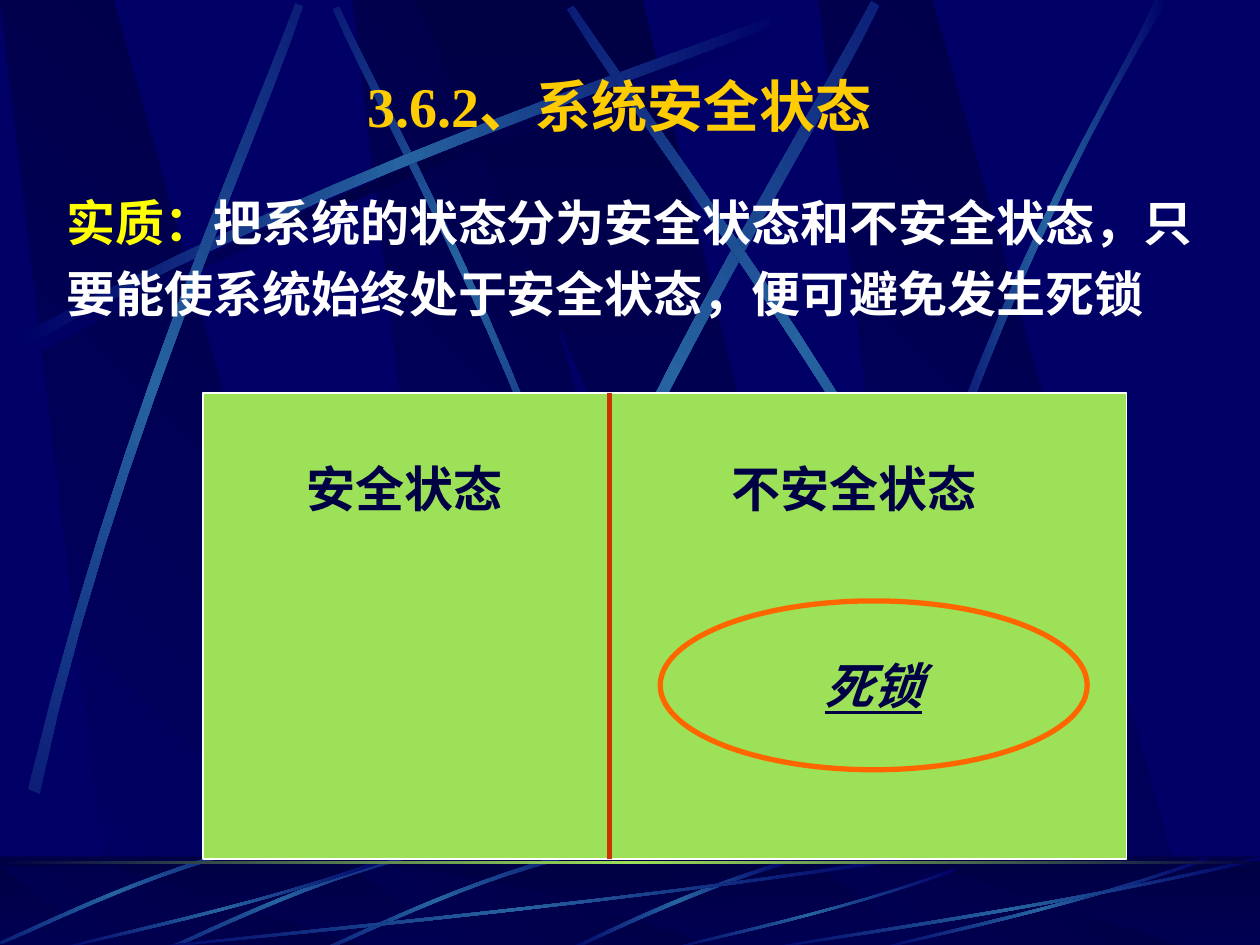
from math import cos, radians, sin

from lxml.etree import SubElement
from pptx import Presentation
from pptx.dml.color import RGBColor
from pptx.enum.shapes import MSO_CONNECTOR as Connector, MSO_SHAPE as Shape
from pptx.enum.text import MSO_ANCHOR as Anchor, MSO_AUTO_SIZE as AutoSize, PP_ALIGN as Align
from pptx.oxml.ns import qn
from pptx.util import Pt

COLORS = {
    "navy": "000066", "dark": "000044", "beam": "2663A0", "green": "9CE157",
    "gold": "FFCC00", "yellow": "FFFF00", "white": "FFFFFF", "red": "CC3300", "orange": "FF6600",
}
FONT = "Times New Roman"
BEAM_FILL = ("navy", "beam", "navy")
LONG_BEAM = [(10.1, 192.2), (200.2, 90), (373, 36.7), (446.4, 7.2),
             (448.6, 11.5), (375.8, 43.9), (178.6, 103), (12.2, 199.4)]
TALL_BEAMS = [
    (45, [(331.2, 313.9), (281.5, 168.5), (217.4, 55.4), (193.7, 3.6),
          (190.1, 5), (212.4, 56.9), (286.6, 185.8), (326.9, 316.1)]),
    (0, LONG_BEAM),
    (311.7, [(16.6, 450), (67, 240.5), (141.8, 75.6), (169.2, 1.4),
             (173.5, 2.9), (149, 77.8), (61.9, 265), (23, 452.9)]),
    (321.6, [(277.2, 442.1), (358.6, 230.4), (459.4, 73.4), (498.2, 0),
             (502.6, 2.9), (467.3, 77.8), (349.9, 255.6), (283.7, 447.1)]),
    (34.8, [(580.3, 403.2), (482.4, 211), (371.5, 68.4), (327.6, 2.9),
            (324, 5), (365, 72.7), (493.2, 234), (575.3, 407.5)]),
    (0, [(531.4, 283), (586.1, 124.6), (639.4, 47.5), (660.2, 0),
         (667.4, 0), (601.9, 104.4), (553.7, 231.8), (535.7, 285.8)]),
]
CENTER_BEAM = [(451.4, 1.4), (386.6, 20.9), (343.4, 44.6), (322.6, 53.3),
               (326.2, 54), (352.8, 41), (411.1, 14.4), (452.2, 3.6)]
SHORT_BEAM = [(318.2, 0), (255.6, 18), (206.6, 43.2), (184.3, 52.6),
              (185, 54), (207.4, 45.4), (262.8, 16.6), (319.7, 2.2)]
STREAK = [(1, 0.04), (0.57, 0.57), (0.17, 0.85), (0, 1),
          (0, 0.99), (0.16, 0.81), (0.62, 0.51), (1, 0)]
STREAK_BOXES = [(72, 0, 444, 54), (30, 0, 192, 54), (379.4, 6.5, 166.3, 47.5),
                (498, 0, 192, 54), (432, 0, 288, 54)]


def color(name):
    """Return the named colour."""
    return RGBColor.from_string(COLORS[name])


def shift(points, dx, dy):
    """Move points by an offset."""
    return [(x + dx, y + dy) for x, y in points]


def fit(points, box):
    """Scale unit points into a box."""
    left, top, width, height = box
    return [(left + x * width, top + y * height) for x, y in points]


def turn(points, angle):
    """Turn points clockwise about the centre of their bounds."""
    xs, ys = zip(*points)
    mid_x, mid_y = (min(xs) + max(xs)) / 2, (min(ys) + max(ys)) / 2
    c, s = cos(radians(angle)), sin(radians(angle))
    return [(mid_x + (x - mid_x) * c - (y - mid_y) * s,
             mid_y + (x - mid_x) * s + (y - mid_y) * c) for x, y in points]


def curve(points, steps=12):
    """Sample a cubic curve with four control points."""
    samples = []
    for step in range(steps + 1):
        t = step / steps
        weights = ((1 - t) ** 3, 3 * t * (1 - t) ** 2, 3 * t * t * (1 - t), t ** 3)
        samples.append(tuple(sum(w * p[axis] for w, p in zip(weights, points)) for axis in (0, 1)))
    return samples


def paint_gradient(shape, names, angle):
    """Fill a borderless shape with evenly spaced stops."""
    shape.shadow.inherit = False
    shape.line.fill.background()
    shape.fill.gradient()
    shape.fill.gradient_angle = angle
    stops = shape._element.spPr.find(qn("a:gradFill")).find(qn("a:gsLst"))
    stops.clear()
    for index, name in enumerate(names):
        stop = SubElement(stops, qn("a:gs"), pos=str(100000 * index // (len(names) - 1)))
        SubElement(stop, qn("a:srgbClr"), val=COLORS[name])


def add_outline(page, points, names, angle=0, rotation=0):
    """Draw a closed gradient outline."""
    corners = [(Pt(x), Pt(y)) for x, y in turn(points, -rotation)]
    builder = page.shapes.build_freeform(*corners[0], scale=1.0)
    builder.add_line_segments(corners[1:], close=True)
    shape = builder.convert_to_shape()
    paint_gradient(shape, names, angle)
    shape.rotation = rotation


def add_beam(page, points, names=BEAM_FILL, rotation=0):
    """Draw a ribbon between two curves."""
    add_outline(page, curve(points[:4]) + curve(points[4:]), names, rotation=rotation)


def add_shape(page, kind, box, fill, line=None, weight=0.75):
    """Add a plain preset shape."""
    shape = page.shapes.add_shape(kind, *map(Pt, box))
    shape.shadow.inherit = False
    shape.fill.solid()
    shape.fill.fore_color.rgb = color(fill)
    if line:
        shape.line.color.rgb = color(line)
        shape.line.width = Pt(weight)
    else:
        shape.line.fill.background()
    return shape


def write(frame, spans, size=28, align=Align.LEFT, wrap=False):
    """Write one bold paragraph of coloured spans."""
    frame.word_wrap = wrap
    para = frame.paragraphs[0]
    para.alignment = align
    para.font.name, para.font.size, para.font.bold = FONT, Pt(size), True
    for text, name in spans:
        span = para.add_run()
        span.text = text
        span.font.color.rgb = color(name)
    return para


def add_text(page, box, spans, **style):
    """Add a text box with one paragraph."""
    frame = page.shapes.add_textbox(*map(Pt, box)).text_frame
    frame.auto_size = AutoSize.SHAPE_TO_FIT_TEXT
    return write(frame, spans, **style)


def add_panels(page, box):
    """Draw the slanted background panels."""
    left, top, width, height = box
    slant = [(0.09, 1), (0.3, 1), (0.09, 0), (0, 0)]
    for offset in (0.28, 0, 0.65):
        add_outline(page, fit(shift(slant, offset, 0), box), ("navy", "dark"), 45)
    wedge = [(0.33, 0), (0.66, 1), (0.69, 1), (0.51, 0)]
    add_outline(page, fit(wedge, box), ("dark", "navy"), 270)


def add_backdrop(page, box):
    """Draw the panels and tall beams."""
    left, top, width, height = box
    add_panels(page, box)
    add_beam(page, shift(LONG_BEAM, left + 4.3, top + 5.8), ("navy", "dark", "navy"))
    for rotation, points in TALL_BEAMS:
        add_beam(page, shift(points, left, top), rotation=rotation)


def add_floor(page, box):
    """Draw the bottom band with its beams and bright edge."""
    left, top, width, height = box
    band = page.shapes.add_shape(Shape.RECTANGLE, *map(Pt, box))
    paint_gradient(band, ("dark", "navy"), 270)
    add_panels(page, (left, top + 5.8, width, height - 5.8))
    veil = add_shape(page, Shape.RECTANGLE, (left, top - 0.7, width, height), "dark")
    tint = veil._element.spPr.find(qn("a:solidFill")).find(qn("a:srgbClr"))
    SubElement(tint, qn("a:alpha"), val="50000")
    add_beam(page, shift(CENTER_BEAM, left, top))
    for dx, dy in ((0, 0), (-90, 0), (-184, -4)):
        add_beam(page, shift(SHORT_BEAM, left + dx, top + dy), rotation=314.9)
    for streak_box in STREAK_BOXES:
        add_beam(page, shift(fit(STREAK, streak_box), left, top))
    edge = page.shapes.add_shape(Shape.RECTANGLE, Pt(left), Pt(top + 2.6), Pt(width), Pt(1.7))
    paint_gradient(edge, ("dark", "green", "dark"), 0)


def add_state_diagram(page, box):
    """Draw the safe and unsafe halves with the deadlock area."""
    left, top, width, height = box
    split = left + 232.5
    for start, end in ((left, split), (split, left + width)):
        add_shape(page, Shape.RECTANGLE, (start, top, end - start, height), "green", "white")
    add_text(page, (left + 295, top + 34, 154, 41), [("不安全状态", "dark")])
    add_text(page, (left + 52, top + 34, 126, 41), [("安全状态", "dark")])
    divider = page.shapes.add_connector(
        Connector.STRAIGHT, Pt(split), Pt(top), Pt(split), Pt(top + height))
    divider.line.color.rgb = color("red")
    divider.line.width = Pt(3)
    SubElement(divider._element.spPr, qn("a:effectLst"))
    oval = add_shape(page, Shape.OVAL, (left + 261.3, top + 118.8, 244, 96.5), "green", "orange", 3)
    oval.text_frame.vertical_anchor = Anchor.MIDDLE
    para = write(oval.text_frame, [("死锁", "dark")], align=Align.CENTER)
    para.font.italic = para.font.underline = True


def main():
    """Build and save the slide."""
    deck = Presentation()
    deck.slide_width, deck.slide_height = Pt(720), Pt(540)
    page = deck.slides.add_slide(deck.slide_layouts[6])
    page.background.fill.solid()
    page.background.fill.fore_color.rgb = color("navy")
    add_backdrop(page, (0, 0, 720, 541))
    add_floor(page, (0, 489.6, 720, 54))
    add_text(page, (48, 37.5, 612, 45.5), [("3.6.2、系统安全状态", "gold")],
             size=32, align=Align.CENTER, wrap=True)
    add_state_diagram(page, (116, 224.6, 527.8, 266.4))
    essence = [("实质：", "yellow"),
               ("把系统的状态分为安全状态和不安全状态，只要能使系统始终处于安全状态，便可避免发生死锁", "white")]
    add_text(page, (31, 100, 674.6, 88), essence, wrap=True).line_spacing = 1.2
    deck.save("out.pptx")


if __name__ == "__main__":
    main()
